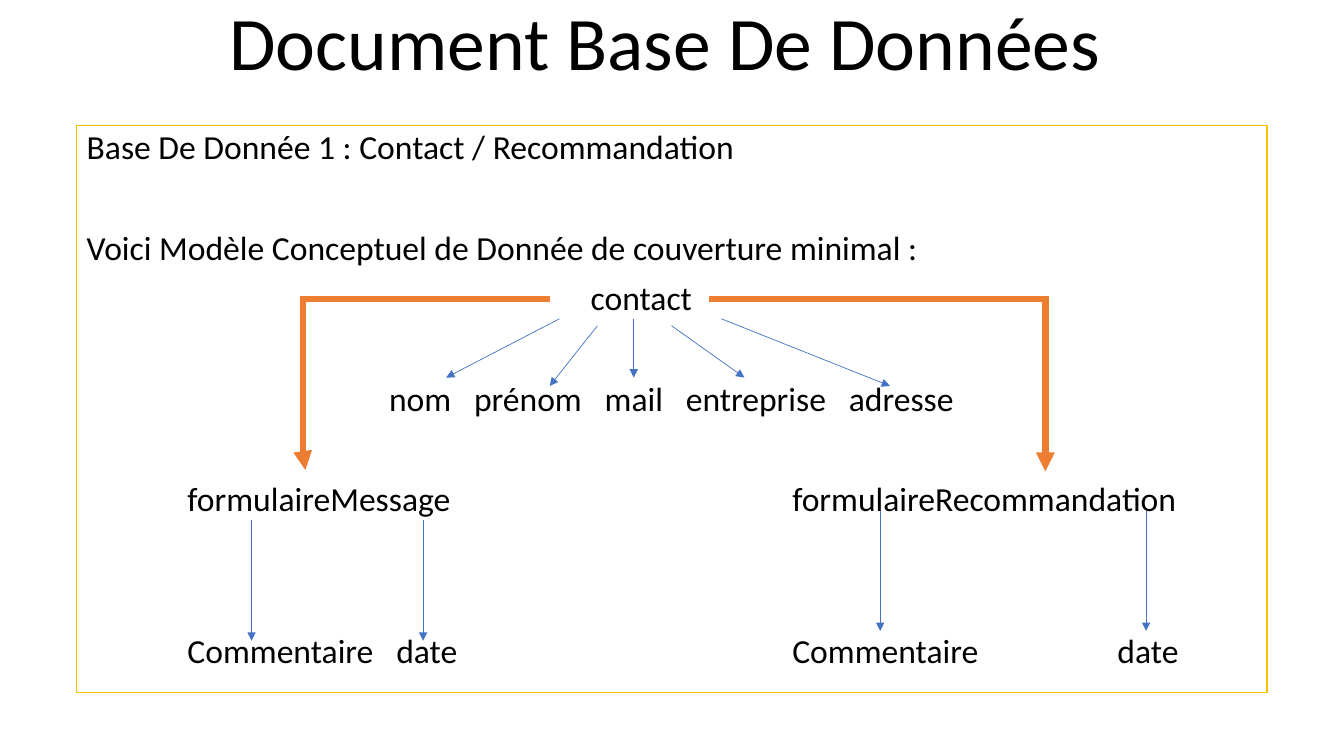
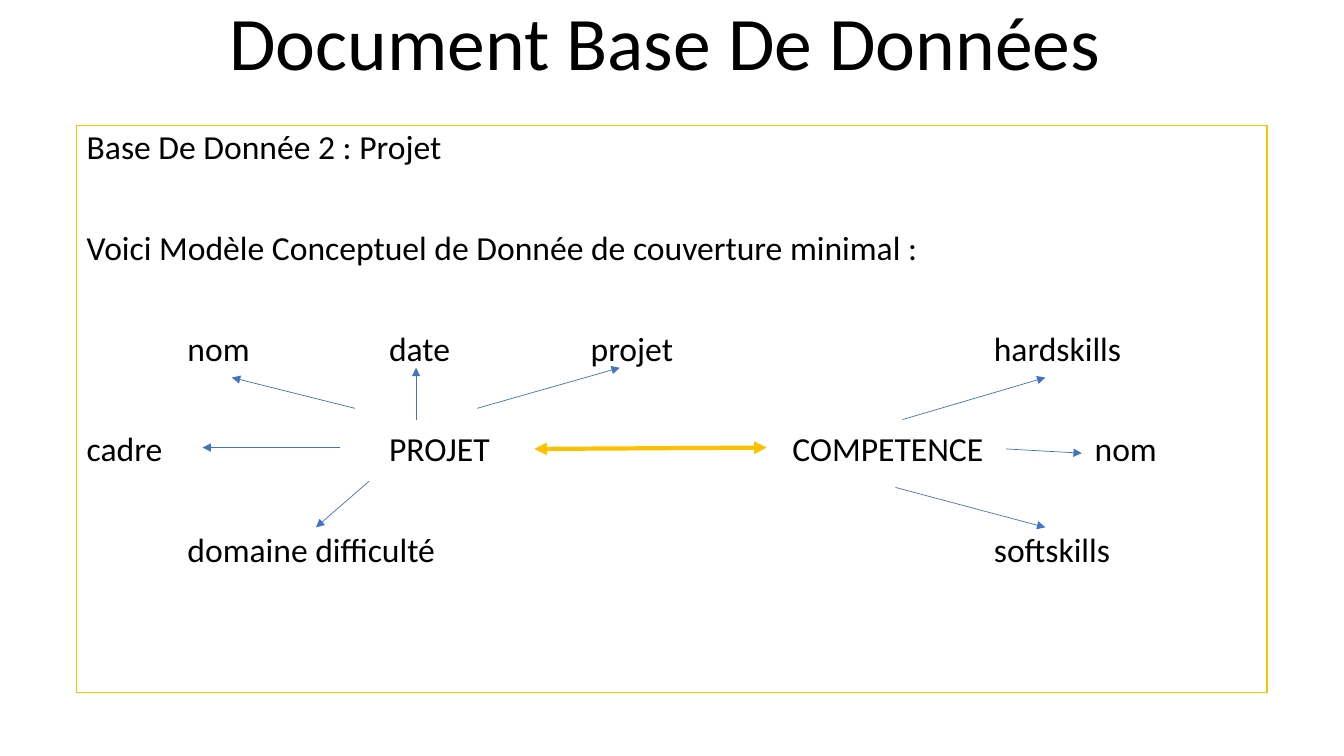
from pptx import Presentation
from pptx.dml.color import RGBColor
from pptx.enum.shapes import MSO_CONNECTOR as Connector
from pptx.enum.text import MSO_ANCHOR as Anchor, MSO_AUTO_SIZE as AutoSize, PP_ALIGN as Align
from pptx.oxml.ns import qn
from pptx.util import Pt
from lxml.etree import SubElement

COLORS = {"text": "000000", "paper": "FFFFFF", "frame": "FFC000",
          "attribute": "4472C4", "relation": "ED7D31"}
FONT = "Calibri"
TITLE = "Document Base De Données"
INTRO = "Voici Modèle Conceptuel de Donnée de couverture minimal :"
TITLE_BOX = (115, 26, 720, 40)
MODEL_BOX = (54.7, 89.7, 850.3, 405)
ROW_PITCH, ROW_GAP = 36, 10
COLUMN = 72  # width of one tab column
WIDE = None  # marks a word set off by a widened space
WIDENING = 10.85

# Rows: row number, then (tabs before the word, word) pairs
CONTACT_ROWS = [
    (0, [(0, "Base De Donnée 1 : Contact / Recommandation")]),
    (2, [(0, INTRO)]),
    (3, [(5, "contact")]),
    (5, [(3, "nom"), (WIDE, "prénom"), (WIDE, "mail"), (WIDE, "entreprise"), (WIDE, "adresse")]),
    (7, [(1, "formulaireMessage"), (4, "formulaireRecommandation")]),
    (10, [(1, "Commentaire"), (WIDE, "date"), (4, "Commentaire"), (2, ""), (WIDE, "date")]),
]
PROJECT_ROWS = [
    (0, [(0, "Base De Donnée 2 : Projet")]),
    (2, [(0, INTRO)]),
    (4, [(1, "nom"), (2, "date"), (2, "projet"), (4, "hardskills")]),
    (6, [(0, "cadre"), (3, "PROJET"), (4, "COMPETENCE"), (2, "nom")]),
    (8, [(1, "domaine difficulté"), (6, "softskills")]),
]

# Arrows: x1, y1, x2, y2 inside the model box
CONTACT_ATTRIBUTES = [
    (345, 138, 264, 180), (372, 143, 338, 186), (398, 138, 398, 180),
    (425, 143, 477, 180), (460.5, 138, 581, 186),
    (125, 282, 125, 368), (247.5, 282, 247.5, 368),
    (574, 275, 574, 361), (764, 275, 764, 361),
]
PROJECT_ATTRIBUTES = [
    (209, 254, 171, 287), (188, 230, 90, 230), (199, 202, 111, 180),
    (242.5, 210, 242.5, 173), (286, 202, 388, 173),
    (590, 210, 692, 180), (585, 258.5, 692, 287), (664, 231, 718, 234),
]


def rgb(name):
    return RGBColor.from_string(COLORS[name])


def place(part, box):
    part.left, part.top, part.width, part.height = map(Pt, box)


def style(paragraph, size, align):
    paragraph.alignment = align
    paragraph.line_spacing = 0.9
    paragraph.font.name = FONT
    paragraph.font.size = Pt(size)
    paragraph.font.color.rgb = rgb("text")


def add_title(slide, box):
    title = slide.shapes.title
    place(title, box)
    title.text_frame.text = TITLE
    title.text_frame.vertical_anchor = Anchor.BOTTOM
    title.text_frame.auto_size = AutoSize.NONE
    style(title.text_frame.paragraphs[0], 54, Align.CENTER)


def add_words(row, words):
    for tabs, word in words:
        if tabs is WIDE:
            space = row.add_run()
            space.text = " "
            space._r.get_or_add_rPr().set("spc", str(round(WIDENING * 100)))
            tabs = 0
        if tabs or word:
            row.add_run().text = "\t" * tabs + word


def add_model_text(slide, box, rows):
    """Framed body whose words stand on tab columns."""
    body = slide.placeholders[1]
    place(body, box)
    body.fill.solid()
    body.fill.fore_color.rgb = rgb("paper")
    body.line.color.rgb = rgb("frame")
    body.line.width = Pt(1)
    frame = body.text_frame
    frame.auto_size = AutoSize.NONE
    frame.vertical_anchor = Anchor.TOP
    previous = 0
    for number, words in rows:
        row = frame.add_paragraph() if number else frame.paragraphs[0]
        add_words(row, words)
        style(row, 24, Align.LEFT)
        row._p.get_or_add_pPr().set("defTabSz", str(int(Pt(COLUMN))))
        row.space_before = Pt(ROW_GAP + max(number - previous - 1, 0) * ROW_PITCH)
        previous = number


def add_arrow(slide, box, ends, color, width, bend=None, double=False):
    """Arrow inside box; bend is where an elbow turns, as a share of its width."""
    left, top = box[:2]
    x1, y1, x2, y2 = ends
    kind = Connector.STRAIGHT if bend is None else Connector.ELBOW
    arrow = slide.shapes.add_connector(
        kind, Pt(left + x1), Pt(top + y1), Pt(left + x2), Pt(top + y2))
    arrow.line.color.rgb = rgb(color)
    arrow.line.width = Pt(width)
    properties = arrow._element.spPr
    line = properties.find(qn("a:ln"))
    SubElement(line, qn("a:miter"), lim="800000")
    for end in ("headEnd", "tailEnd") if double else ("tailEnd",):
        SubElement(line, qn("a:" + end), type="triangle")
    SubElement(properties, qn("a:effectLst"))
    if bend is not None:
        guides = properties.find(qn("a:prstGeom")).get_or_add_avLst()
        SubElement(guides, qn("a:gd"), name="adj1", fmla=f"val {round(bend * 100000)}")


def add_model_slide(deck, rows, attributes):
    slide = deck.slides.add_slide(deck.slide_layouts[0])
    add_title(slide, TITLE_BOX)
    add_model_text(slide, MODEL_BOX, rows)
    for ends in attributes:
        add_arrow(slide, MODEL_BOX, ends, "attribute", 0.5)
    return slide


def main():
    deck = Presentation()
    deck.slide_width, deck.slide_height = Pt(960), Pt(540)

    # Contact and its two forms
    contact = add_model_slide(deck, CONTACT_ROWS, CONTACT_ATTRIBUTES)
    add_arrow(contact, MODEL_BOX, (338, 124, 163.5, 246), "relation", 4.5, bend=1.01)
    add_arrow(contact, MODEL_BOX, (452, 124, 692, 247), "relation", 4.5, bend=1)

    # Project linked with skills
    project = add_model_slide(deck, PROJECT_ROWS, PROJECT_ATTRIBUTES)
    add_arrow(project, MODEL_BOX, (327, 231, 493, 230), "frame", 3, double=True)

    deck.save("out.pptx")


if __name__ == "__main__":
    main()
